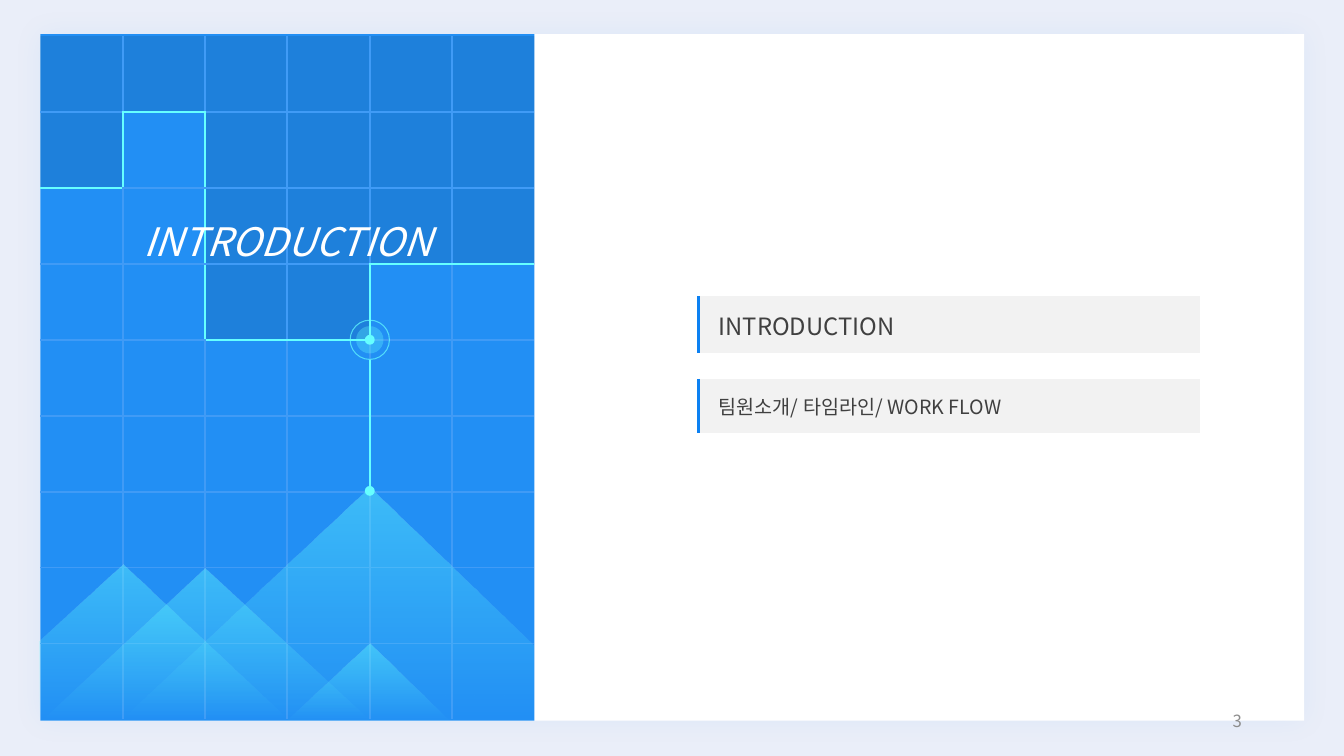
from dataclasses import dataclass
from typing import Any, Optional

from lxml.etree import SubElement
from pptx import Presentation
from pptx.dml.color import RGBColor
from pptx.enum.shapes import MSO_CONNECTOR as Conn, MSO_SHAPE as Shp
from pptx.enum.text import MSO_ANCHOR as Anc, MSO_AUTO_SIZE as Fit, PP_ALIGN as Al
from pptx.oxml.ns import qn
from pptx.util import Cm, Pt

FONT = "Noto Sans CJK KR"
BLUE, GRID, CYAN, ACCENT = "228FF4", "409BF6", "66FFFF", "0C81F2"
NO_STYLE = "{2D5ABB26-0587-4C30-8999-92F81FD0307C}"

# Lengths in cm
LEFT, TOP, PANEL_W, PANEL_H = 1.02, 0.86, 12.45, 17.3
GRID_TOP, GRID_H, COLS, ROWS = 0.91, 17.22, 6, 9
CELL_W, CELL_H = PANEL_W / COLS, GRID_H / ROWS
BEACON_X, BEACON_Y = LEFT + 4 * CELL_W, GRID_TOP + 4 * CELL_H
SUMMIT_Y = 12.37
SHADED = ["######", "#.####", "..####", "..##.."] + ["......"] * 5


@dataclass
class Disc:
    y: float
    size: float
    fill: Optional[str] = None
    line: Optional[str] = None
    alpha: int = 100


@dataclass
class Peak:
    points: list[tuple[float, float]]


@dataclass
class MenuRow:
    height: float
    text: str = ""
    size: int = 4


BEACON = [Disc(BEACON_Y, 0.69, CYAN, alpha=30),
          Disc(BEACON_Y, 0.99, line=CYAN, alpha=70),
          Disc(BEACON_Y, 0.25, CYAN)]
PEAKS = [Peak([(0.99, 18.11), (0.99, 16.15), (3.1, 14.22), (7.29, 18.16)]),
         Peak([(3.05, 18.16), (9.32, 12.29), (13.44, 16.26), (13.44, 18.14)]),
         Peak([(1.02, 18.19), (5.16, 14.33), (9.35, 18.19)]),
         Peak([(7.21, 18.16), (9.32, 16.21), (11.38, 18.21)])]
MENU = [MenuRow(1.42, "INTRODUCTION", 17), MenuRow(0.66),
        MenuRow(1.37, "팀원소개/ 타임라인/ WORK FLOW", 14)]


def rgb(value: str) -> RGBColor:
    return RGBColor.from_string(value)


def fade(parent: Any, *percents: int) -> None:
    for clr, pct in zip(parent.iter(qn("a:srgbClr")), percents):
        SubElement(clr, qn("a:alpha"), val=str(pct * 1000))


def paint(fill: Any, color: Optional[str]) -> None:
    if color:
        fill.solid()
        fill.fore_color.rgb = rgb(color)
    else:
        fill.background()


def write(tf: Any, text: str, *, size: int, color: str, align: Any = Al.LEFT,
          anchor: Any = Anc.TOP, italic: bool = False) -> None:
    tf.vertical_anchor = anchor
    tf.word_wrap = True
    p = tf.paragraphs[0]
    p.alignment = align
    r = p.add_run()
    r.text = text
    r.font.size, r.font.name, r.font.italic = Pt(size), FONT, italic
    r.font.color.rgb = rgb(color)
    SubElement(r.font._element, qn("a:ea"), typeface=FONT)


def add_box(shapes: Any, kind: Any, x: float, y: float, w: float, h: float,
            fill: Optional[str], line: Optional[str] = None) -> Any:
    sp = shapes.add_shape(kind, Cm(x), Cm(y), Cm(w), Cm(h))
    sp.shadow.inherit = False
    paint(sp.fill, fill)
    paint(sp.line.fill, line)
    if line:
        sp.line.width = Pt(0.75)
    return sp


def add_disc(shapes: Any, d: Disc) -> None:
    sp = add_box(shapes, Shp.OVAL, BEACON_X - d.size / 2, d.y - d.size / 2,
                 d.size, d.size, d.fill, d.line)
    if d.alpha < 100:
        fade(sp.element, d.alpha)


def add_peak(shapes: Any, peak: Peak) -> None:
    pts = [(Cm(x), Cm(y)) for x, y in peak.points]
    fb = shapes.build_freeform(*pts[0])
    fb.add_line_segments(pts[1:], close=True)
    sp = fb.convert_to_shape()
    sp.shadow.inherit = False
    sp.line.fill.background()
    sp.fill.gradient()
    sp.fill.gradient_angle = 270
    for stop in sp.fill.gradient_stops:
        stop.color.rgb = rgb(CYAN)
    fade(sp.element, 41, 0)


def add_plain_table(shapes: Any, x: float, y: float, widths: list[float],
                    heights: list[float]) -> Any:
    tbl = shapes.add_table(len(heights), len(widths), Cm(x), Cm(y),
                           Cm(sum(widths)), Cm(sum(heights))).table
    tbl.first_row = tbl.horz_banding = False
    tbl._tbl.tblPr.find(qn("a:tableStyleId")).text = NO_STYLE
    for col, w in zip(tbl.columns, widths):
        col.width = Cm(w)
    for row, h in zip(tbl.rows, heights):
        row.height = Cm(h)
    return tbl


def add_border(cell: Any, side: str, color: str, width: float) -> None:
    ln = SubElement(cell._tc.get_or_add_tcPr(), qn("a:ln" + side), w=str(Pt(width)))
    SubElement(SubElement(ln, qn("a:solidFill")), qn("a:srgbClr"), val=color)


def add_grid(shapes: Any) -> None:
    """Inner lines turn cyan wherever shaded and clear cells meet."""
    tbl = add_plain_table(shapes, LEFT, GRID_TOP, [CELL_W] * COLS, [CELL_H] * ROWS)
    steps = {"L": (0, -1), "R": (0, 1), "T": (-1, 0), "B": (1, 0)}
    for i, row in enumerate(SHADED):
        for j, mark in enumerate(row):
            cell = tbl.cell(i, j)
            for side, (di, dj) in steps.items():
                ni, nj = i + di, j + dj
                if 0 <= ni < ROWS and 0 <= nj < COLS:
                    add_border(cell, side, GRID if SHADED[ni][nj] == mark else CYAN, 1.5)
            paint(cell.fill, "000000" if mark == "#" else None)
            if mark == "#":
                fade(cell._tc.tcPr[-1], 10)


def add_menu(shapes: Any) -> None:
    tbl = add_plain_table(shapes, 17.6, 7.47, [12.65], [m.height for m in MENU])
    for i, m in enumerate(MENU):
        cell = tbl.cell(i, 0)
        if m.text:
            cell.margin_left = Cm(0.51)
            add_border(cell, "L", ACCENT, 3)
            write(cell.text_frame, m.text, size=m.size, color="404040")
            cell.vertical_anchor = Anc.MIDDLE
        else:
            cell.margin_top = cell.margin_bottom = 0
            SubElement(cell.text_frame.paragraphs[0]._p, qn("a:endParaRPr"),
                       sz=str(m.size * 100))
        paint(cell.fill, "F2F2F2" if m.text else None)


def main() -> None:
    prs = Presentation()
    prs.slide_width, prs.slide_height = Cm(33.87), Cm(19.05)
    s = prs.slides.add_slide(prs.slide_layouts[5])
    paint(s.background.fill, "EAEEF9")

    # White card with a soft glow, and the blue panel
    card = add_box(s.shapes, Shp.RECTANGLE, LEFT, TOP, 31.85, PANEL_H, "FFFFFF")
    glow = SubElement(card.element.spPr.find(qn("a:effectLst")), qn("a:outerShdw"),
                      blurRad=str(Pt(20)), dist="0", dir="0", algn="ctr", rotWithShape="0")
    SubElement(glow, qn("a:srgbClr"), val=ACCENT)
    fade(glow, 5)
    add_box(s.shapes, Shp.RECTANGLE, LEFT, TOP, PANEL_W, PANEL_H, BLUE)

    # Menu and grid
    add_menu(s.shapes)
    add_grid(s.shapes)

    # Beacon with its stem
    beacon = s.shapes.add_group_shape().shapes
    for d in BEACON:
        add_disc(beacon, d)
    stem = beacon.add_connector(Conn.STRAIGHT, Cm(BEACON_X), Cm(9.07),
                                Cm(BEACON_X), Cm(12.29))
    stem.line.color.rgb, stem.line.width = rgb(CYAN), Pt(1.5)
    SubElement(stem.element.spPr, qn("a:effectLst"))

    # Mountains and summit dot
    range_ = s.shapes.add_group_shape().shapes
    for peak in PEAKS:
        add_peak(range_, peak)
    add_disc(s.shapes, Disc(SUMMIT_Y, 0.25, CYAN))

    # Title, in front of the panel
    title = s.shapes.title
    title.left, title.top, title.width, title.height = Cm(LEFT), Cm(5.36), Cm(PANEL_W), Cm(1.45)
    write(title.text_frame, "INTRODUCTION", size=28, color="FFFFFF", align=Al.CENTER, italic=True)
    title.text_frame.auto_size = Fit.NONE
    s.shapes.element.append(title.element)

    # Page number
    page = s.shapes.add_textbox(Cm(23.93), Cm(17.65), Cm(7.62), Cm(1.02))
    write(page.text_frame, "3", size=12, color="8C8C8C", align=Al.RIGHT, anchor=Anc.MIDDLE)

    prs.save("out.pptx")


if __name__ == "__main__":
    main()
